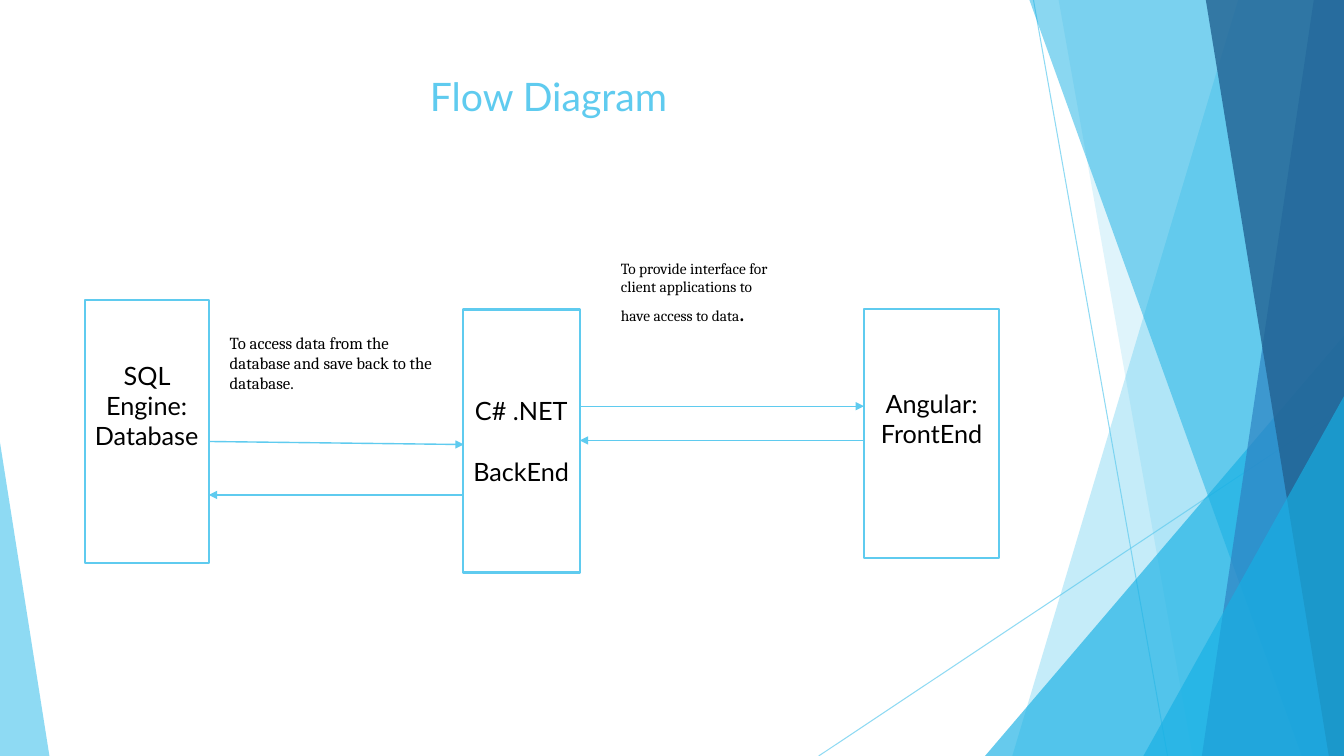
"""Build the Flow Diagram slide: three tiers, their data flows and a faceted backdrop."""
from lxml.etree import SubElement
from pptx import Presentation
from pptx.dml.color import RGBColor
from pptx.enum.shapes import MSO_CONNECTOR, MSO_SHAPE
from pptx.enum.text import MSO_ANCHOR, PP_ALIGN
from pptx.oxml.ns import qn
from pptx.util import Inches, Pt

WIDTH, HEIGHT = 13.33, 7.5
SKY = RGBColor(0x5F, 0xCB, 0xEF)
CYAN = RGBColor(0x17, 0xB0, 0xE4)
BLUE = RGBColor(0x2E, 0x83, 0xC3)
NAVY = RGBColor(0x22, 0x62, 0x92)
WHITE = RGBColor(0xFF, 0xFF, 0xFF)
BLACK = RGBColor(0, 0, 0)

BACKDROP_LINES = [((10.25, 0), (11.58, HEIGHT)), ((WIDTH, 4.03), (8.12, HEIGHT))]
# kind, geometry, colour, opacity
FACETS = [
    ("panel", (12.28, 10.04, WIDTH), SKY, 36),
    ("panel", (10.5, WIDTH, 11.83), SKY, 20),
    ("triangle", (9.77, 3.33, 3.56, 1), CYAN, 66),
    ("panel", (10.21, WIDTH, 12.91), CYAN, 50),
    ("panel", (13.03, 11.92, WIDTH), BLUE, 70),
    ("panel", (11.96, WIDTH, 13.18), NAVY, 80),
    ("triangle", (11.34, 3.93, 1.99, 1), CYAN, 66),
    ("triangle", (0, 4.39, 0.49, 0), SKY, 70),
]
TIERS = [
    ((0.84, 2.98, 1.23, 2.61), ["SQL Engine: Database"], 0.58),
    ((4.59, 3.07, 1.16, 2.61), ["C# .NET", "BackEnd"], 0.05),
    ((8.57, 3.07, 1.34, 2.47), ["Angular: FrontEnd"], 0.35),
]
FLOWS = [
    ((4.59, 4.91), (2.07, 4.91)),
    ((2.08, 4.38), (4.6, 4.41)),
    ((5.75, 4.03), (8.57, 4.03)),
    ((8.57, 4.37), (5.75, 4.37)),
]
TEXTS = [
    ((0.74, 0.67, 9.4, 1.44), [("Flow Diagram", 28)], "Lato", SKY, PP_ALIGN.CENTER),
    ((6.06, 2.52, 1.73, 1.26),
     [("To provide interface for client applications to have access to data", 11), (".", 18)],
     "Cambria", BLACK, PP_ALIGN.LEFT),
    ((2.18, 3.25, 2.28, 0.71),
     [("To access data from the database and save back to the database.", 12)],
     "Cambria", BLACK, PP_ALIGN.LEFT),
]


def set_opacity(fill, percent):
    """Add an alpha value to the solid colour inside a fill or line element."""
    colour = next(fill.iter(qn("a:srgbClr")))
    SubElement(colour, qn("a:alpha"), val=str(percent * 1000))


def add_line(slide, start, end, points):
    """Draw a straight sky-blue line without shadow."""
    ends = [Inches(value) for value in (*start, *end)]
    line = slide.shapes.add_connector(MSO_CONNECTOR.STRAIGHT, *ends)
    line.line.color.rgb = SKY
    line.line.width = Pt(points)
    SubElement(line._element.spPr, qn("a:effectLst"))
    return line


def add_facet(slide, kind, geometry, colour, opacity):
    """Draw one translucent facet, either a full-height panel or a triangle."""
    if kind == "panel":
        top_left, first_bottom, second_bottom = geometry
        corners = [(WIDTH, 0), (max(first_bottom, second_bottom), HEIGHT),
                   (min(first_bottom, second_bottom), HEIGHT)]
        builder = slide.shapes.build_freeform(Inches(top_left), 0)
        builder.add_line_segments([(Inches(x), Inches(y)) for x, y in corners])
        facet = builder.convert_to_shape()
    else:
        left, top, width, apex = geometry
        facet = slide.shapes.add_shape(
            MSO_SHAPE.ISOSCELES_TRIANGLE, Inches(left), Inches(top),
            Inches(width), Inches(HEIGHT - top))
        facet.adjustments[0] = apex
    facet.shadow.inherit = False
    facet.fill.solid()
    facet.fill.fore_color.rgb = colour
    set_opacity(facet._element.spPr, opacity)
    facet.line.fill.background()


def add_run(paragraph, text, size, font, colour):
    """Append one formatted run."""
    run = paragraph.add_run()
    run.text = text
    run.font.size = Pt(size)
    run.font.name = font
    run.font.color.rgb = colour


def add_tier(slide, box, lines, bottom_inset):
    """Draw an outlined tier box with centred label lines."""
    tier = slide.shapes.add_shape(MSO_SHAPE.RECTANGLE, *map(Inches, box))
    tier.shadow.inherit = False
    tier.fill.solid()
    tier.fill.fore_color.rgb = WHITE
    tier.line.color.rgb = SKY
    tier.line.width = Pt(1.5)
    frame = tier.text_frame
    frame.word_wrap = True
    frame.vertical_anchor = MSO_ANCHOR.MIDDLE
    frame.margin_left = frame.margin_right = Inches(0.08)
    frame.margin_bottom = Inches(bottom_inset)
    for index, text in enumerate(lines):
        paragraph = frame.add_paragraph() if index else frame.paragraphs[0]
        paragraph.alignment = PP_ALIGN.CENTER
        if index:
            paragraph.space_before = Pt(22)
        add_run(paragraph, text, 18, "Lato", BLACK)


def add_text(slide, box, runs, font, colour, alignment):
    """Add a wrapped text box."""
    frame = slide.shapes.add_textbox(*map(Inches, box)).text_frame
    frame.word_wrap = True
    paragraph = frame.paragraphs[0]
    paragraph.alignment = alignment
    for text, size in runs:
        add_run(paragraph, text, size, font, colour)


def main():
    """Assemble and save the slide."""
    presentation = Presentation()
    presentation.slide_width, presentation.slide_height = Inches(WIDTH), Inches(HEIGHT)
    slide = presentation.slides.add_slide(presentation.slide_layouts[6])
    for start, end in BACKDROP_LINES:
        line = add_line(slide, start, end, 0.75)
        set_opacity(line._element.spPr, 70)
    for facet in FACETS:
        add_facet(slide, *facet)
    for tier in TIERS:
        add_tier(slide, *tier)
    for start, end in FLOWS:
        arrow = add_line(slide, start, end, 1)
        SubElement(arrow.line._get_or_add_ln(), qn("a:tailEnd"), type="triangle")
    for text in TEXTS:
        add_text(slide, *text)
    presentation.save("out.pptx")


if __name__ == "__main__":
    main()
